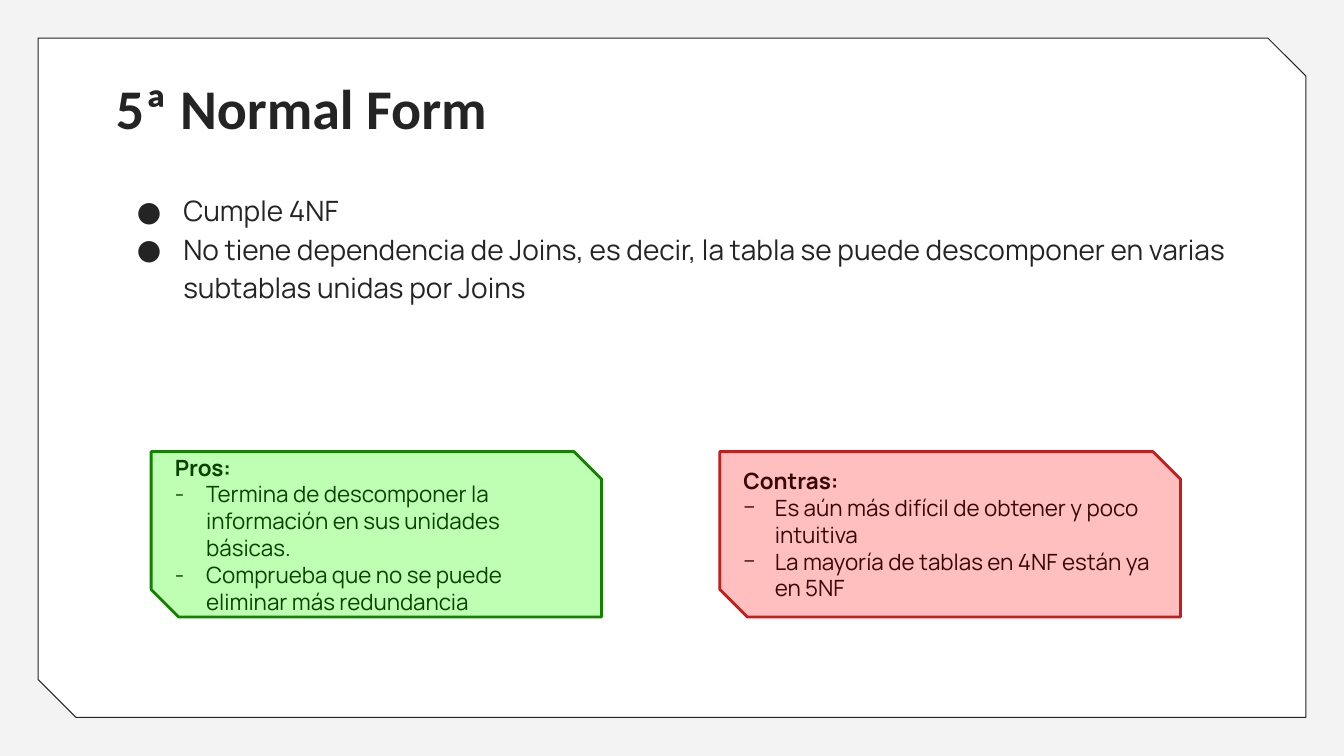
from lxml import etree
from pptx import Presentation
from pptx.dml.color import RGBColor
from pptx.enum import shapes, text
from pptx.oxml import ns
from pptx.util import Cm, Pt

INK = RGBColor(0x24, 0x24, 0x24)
PAPER = RGBColor(0xFF, 0xFF, 0xFF)
BACK = RGBColor(0xF3, 0xF3, 0xF3)
PINK = RGBColor(0xFF, 0xBF, 0xBF)
RED = RGBColor(0xC5, 0x1D, 0x1D)
WINE = RGBColor(0x36, 0x08, 0x08)
MINT = RGBColor(0xBE, 0xFF, 0xB3)
GREEN = RGBColor(0x13, 0x82, 0x00)
PINE = RGBColor(0x0A, 0x41, 0x00)


def add_mark(para, mark, color, left, hang):
    """Give a paragraph a coloured bullet and a hanging indent."""
    props = para._p.get_or_add_pPr()
    props.set("marL", str(left))
    props.set("indent", str(-hang))
    tint = etree.SubElement(props, ns.qn("a:buClr"))
    etree.SubElement(tint, ns.qn("a:srgbClr"), val=str(color))
    etree.SubElement(props, ns.qn("a:buFont"), typeface="Manrope")
    etree.SubElement(props, ns.qn("a:buChar"), char=mark)


def add_line(para, words, color, size, bold=False, face="Manrope"):
    """Write one left-aligned run with its font."""
    para.alignment = text.PP_ALIGN.LEFT
    run = para.add_run()
    run.text = words
    look = {"name": face, "size": Pt(size), "bold": bold}
    for key, value in look.items():
        setattr(run.font, key, value)
    run.font.color.rgb = color


def add_box(slide, *place):
    """Add a wrapping text box and return its frame."""
    frame = slide.shapes.add_textbox(*map(Cm, place)).text_frame
    frame.word_wrap = True
    for side in ("left", "top", "right", "bottom"):
        setattr(frame, f"margin_{side}", Cm(0.25))
    return frame


def add_snip(slide, place, fill, edge, width):
    """Add a panel with two snipped corners."""
    kind = shapes.MSO_SHAPE.SNIP_2_DIAG_RECTANGLE
    panel = slide.shapes.add_shape(kind, *map(Cm, place))
    panel.shadow.inherit = False
    panel.fill.solid()
    panel.fill.fore_color.rgb = fill
    panel.line.color.rgb = edge
    panel.line.width = Pt(width)
    return panel


def add_card(slide, left, width, fill, edge, ink, mark, head, items):
    """Add a panel with a bold heading and a marked list."""
    card = add_snip(slide, (left, 11.38, width, 4.17), fill, edge, 2)
    frame = card.text_frame
    frame.word_wrap = True
    frame.vertical_anchor = text.MSO_ANCHOR.MIDDLE
    add_line(frame.paragraphs[0], head, ink, 16, True)
    for item in items:
        para = frame.add_paragraph()
        add_line(para, item, ink, 16)
        add_mark(para, mark, ink, Cm(0.79), Cm(0.79))


def add_list(slide, items):
    """Add the main bullet list."""
    frame = add_box(slide, 2.67, 4.5, 28.52, 12.65)
    for rank, item in enumerate(items):
        para = frame.add_paragraph() if rank else frame.paragraphs[0]
        para.line_spacing = 1.15
        add_line(para, item, INK, 20)
        add_mark(para, "●", INK, Cm(1.7), Cm(1.17))


def main():
    """Build and save the slide."""
    deck = Presentation()
    deck.slide_width, deck.slide_height = Cm(33.87), Cm(19.05)
    slide = deck.slides.add_slide(deck.slide_layouts[6])
    slide.background.fill.solid()
    slide.background.fill.fore_color.rgb = BACK
    sheet = add_snip(slide, (0.96, 0.96, 31.95, 17.12), PAPER, INK, 0.75)
    sheet.adjustments[1] = 0.056
    title = add_box(slide, 2.67, 1.6, 28.52, 2.13)
    add_line(title.paragraphs[0], "5ª Normal Form", INK, 40, True, "Calibri")
    add_list(slide, [
        "Cumple 4NF",
        "No tiene dependencia de Joins, es decir, la tabla se puede "
        "descomponer en varias subtablas unidas por Joins"])
    add_card(slide, 18.14, 11.61, PINK, RED, WINE, "−", "Contras:", [
        "Es aún más difícil de obtener y poco intuitiva",
        "La mayoría de tablas en 4NF están ya en 5NF"])
    add_card(slide, 3.81, 11.35, MINT, GREEN, PINE, "-", "Pros:", [
        "Termina de descomponer la información en sus unidades básicas.",
        "Comprueba que no se puede eliminar más redundancia"])
    deck.save("out.pptx")


if __name__ == "__main__":
    main()
